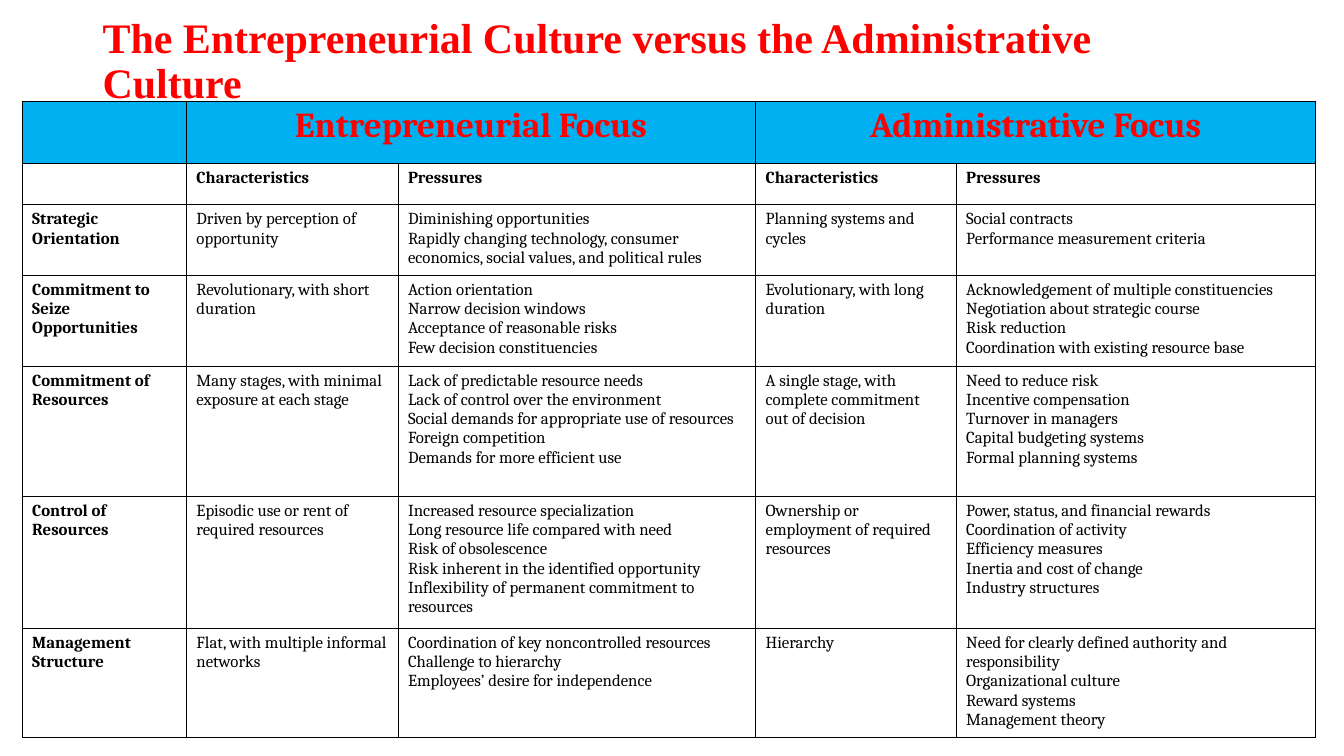
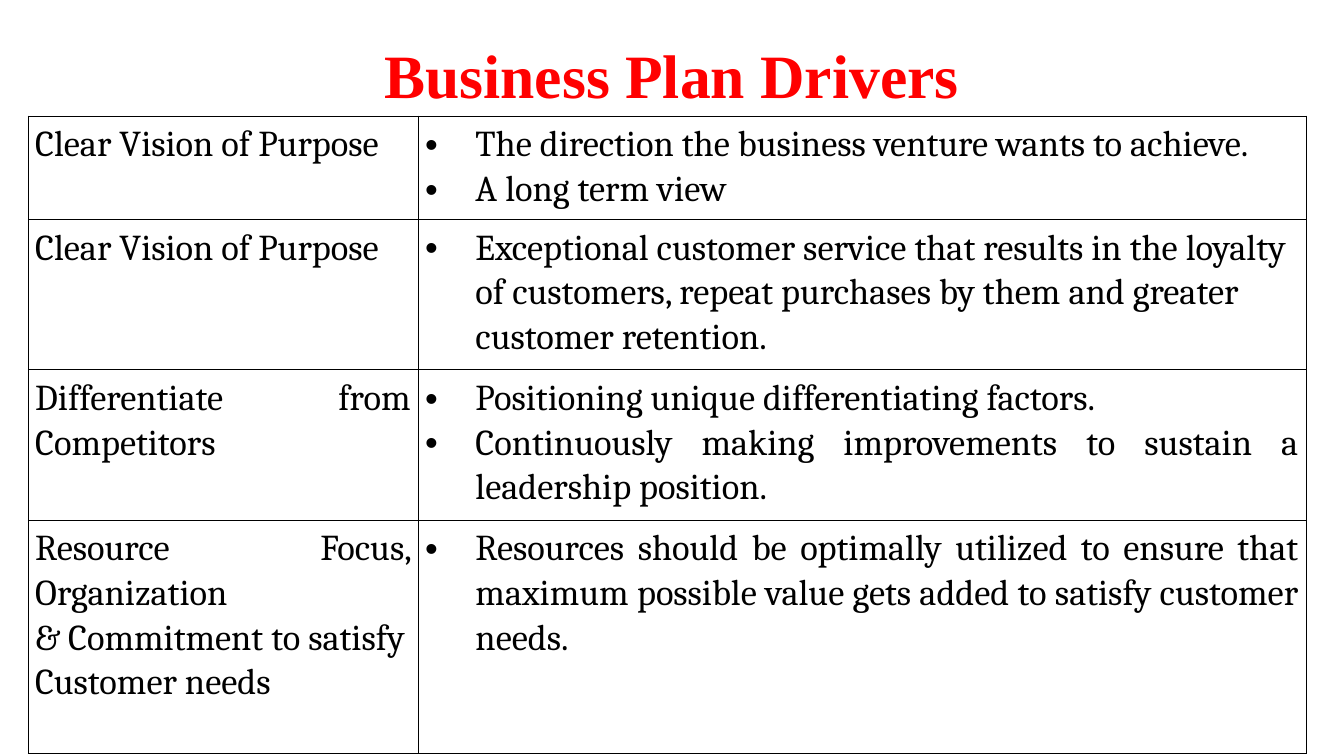
from lxml import etree
from pptx import Presentation
from pptx.dml.color import RGBColor
from pptx.enum.text import MSO_ANCHOR, PP_ALIGN
from pptx.oxml.ns import qn
from pptx.util import Inches, Pt

LEFT, CENTER, JUSTIFY = PP_ALIGN.LEFT, PP_ALIGN.CENTER, PP_ALIGN.JUSTIFY
MIDDLE = MSO_ANCHOR.MIDDLE

RED, BLACK, BLUE = "FF0000", "000000", "00B0F0"
TITLE_FONT, TABLE_FONT = "Times New Roman", "Cambria"
BORDER_WIDTH = Pt(0.45)
BULLET_INDENT = Inches(0.5)

CULTURE_COLS = [1.63, 2.1, 3.55, 1.99, 3.57]
CULTURE_HEIGHTS = [0.62, 0.41, 0.7, 0.9, 1.29, 1.31, 1.09]
FOCUS_HEADINGS = {1: "Entrepreneurial Focus", 3: "Administrative Focus"}
SUBHEADINGS = ["", "Characteristics", "Pressures", "Characteristics", "Pressures"]
CULTURE_ROWS = [
    ["Strategic Orientation",
     "Driven by perception of opportunity",
     "Diminishing opportunities\n"
     "Rapidly changing technology, consumer economics, social values, and political rules",
     "Planning systems and cycles",
     "Social contracts\nPerformance measurement criteria"],
    ["Commitment to Seize Opportunities",
     "Revolutionary, with short duration",
     "Action orientation\nNarrow decision windows\n"
     "Acceptance of reasonable risks\nFew decision constituencies",
     "Evolutionary, with long duration",
     "Acknowledgement of multiple constituencies\nNegotiation about strategic course\n"
     "Risk reduction\nCoordination with existing resource base"],
    ["Commitment of Resources",
     "Many stages, with minimal exposure at each stage",
     "Lack of predictable resource needs\nLack of control over the environment\n"
     "Social demands for appropriate use of resources\nForeign competition\n"
     "Demands for more efficient use",
     "A single stage, with complete commitment out of decision",
     "Need to reduce risk\nIncentive compensation\nTurnover in managers\n"
     "Capital budgeting systems\nFormal planning systems"],
    ["Control of Resources",
     "Episodic use or rent of required resources",
     "Increased resource specialization\nLong resource life compared with need\n"
     "Risk of obsolescence\nRisk inherent in the identified opportunity\n"
     "Inflexibility of permanent commitment to resources",
     "Ownership or employment of required resources",
     "Power, status, and financial rewards\nCoordination of activity\n"
     "Efficiency measures\nInertia and cost of change\nIndustry structures"],
    ["Management Structure",
     "Flat, with multiple informal networks",
     "Coordination of key noncontrolled resources\nChallenge to hierarchy\n"
     "Employees’ desire for independence",
     "Hierarchy",
     "Need for clearly defined authority and responsibility\nOrganizational culture\n"
     "Reward systems\nManagement theory"],
]

DRIVER_COLS = [3.87, 8.82]
DRIVER_HEIGHTS = [0.99, 1.43, 1.43, 2.32]
# driver, explanation, alignment of the explanation
DRIVERS = [
    ("Clear Vision of Purpose",
     "The direction the business venture wants to achieve.\nA long term view", JUSTIFY),
    ("Clear Vision of Purpose",
     "Exceptional customer service that results in the loyalty of customers, "
     "repeat purchases by them and greater customer retention.", LEFT),
    ("Differentiate from Competitors",
     "Positioning unique differentiating factors.\n"
     "Continuously making improvements to sustain a leadership position.", JUSTIFY),
    ("Resource Focus, Organization\n& Commitment to satisfy\nCustomer needs",
     "Resources should be optimally utilized to ensure that maximum possible value "
     "gets added to satisfy customer needs.", JUSTIFY),
]


def rgb(value):
    return RGBColor.from_string(value)


def style_runs(p, font, size, color, bold):
    for r in p.runs:
        r.font.name = font
        r.font.size = Pt(size)
        r.font.bold = bold
        r.font.color.rgb = rgb(color)


def add_title(slide, text, height, size, align=LEFT):
    box = slide.shapes.add_textbox(Inches(0.92), Inches(0.4), Inches(11.5), Inches(height))
    tf = box.text_frame
    tf.word_wrap = True
    tf.vertical_anchor = MIDDLE
    tf.text = text
    p = tf.paragraphs[0]
    p.alignment = align
    p.line_spacing = 0.9
    style_runs(p, TITLE_FONT, size, RED, True)


def add_borders(cell):
    tc_pr = cell._tc.get_or_add_tcPr()
    for side in ("a:lnL", "a:lnR", "a:lnT", "a:lnB"):
        line = etree.SubElement(tc_pr, qn(side), w=str(BORDER_WIDTH))
        fill = etree.SubElement(line, qn("a:solidFill"))
        etree.SubElement(fill, qn("a:srgbClr"), val=BLACK)


def add_grid(slide, left, top, widths, heights):
    """Add an unfilled, fully ruled table."""
    frame = slide.shapes.add_table(len(heights), len(widths), Inches(left), Inches(top),
                                   Inches(sum(widths)), Inches(sum(heights)))
    table = frame.table
    table.first_row = table.horz_banding = False
    for column, width in zip(table.columns, widths):
        column.width = Inches(width)
    for row, height in zip(table.rows, heights):
        row.height = Inches(height)
    for cell in table.iter_cells():
        add_borders(cell)
        cell.fill.background()
    return table


def add_bullet(p):
    p_pr = p._p.get_or_add_pPr()
    p_pr.set("marL", str(BULLET_INDENT))
    p_pr.set("indent", str(-BULLET_INDENT))
    color = etree.SubElement(p_pr, qn("a:buClr"))
    etree.SubElement(color, qn("a:srgbClr"), val=BLACK)
    etree.SubElement(p_pr, qn("a:buFont"), typeface="Arial")
    etree.SubElement(p_pr, qn("a:buChar"), char="•")


def fill_cell(cell, text, size, color=BLACK, bold=False, align=LEFT,
              spacing=None, bulleted=False):
    cell.text_frame.text = text
    for p in cell.text_frame.paragraphs:
        if bulleted:
            add_bullet(p)
        p.alignment = align
        p.line_spacing = spacing
        style_runs(p, TABLE_FONT, size, color, bold)


def add_culture_table(slide, left, top):
    table = add_grid(slide, left, top, CULTURE_COLS, CULTURE_HEIGHTS)
    for col in range(len(CULTURE_COLS)):
        cell = table.cell(0, col)
        cell.fill.solid()
        cell.fill.fore_color.rgb = rgb(BLUE)
    for col, heading in FOCUS_HEADINGS.items():
        table.cell(0, col).merge(table.cell(0, col + 1))
        fill_cell(table.cell(0, col), heading, 25, RED, True, CENTER)
    for row, texts in enumerate([SUBHEADINGS] + CULTURE_ROWS, start=1):
        for col, text in enumerate(texts):
            if text:
                fill_cell(table.cell(row, col), text, 12, bold=row == 1 or col == 0)


def add_drivers_table(slide, left, top):
    table = add_grid(slide, left, top, DRIVER_COLS, DRIVER_HEIGHTS)
    for cell in table.iter_cells():
        cell.margin_left = cell.margin_right = Inches(0.07)
        cell.margin_top = cell.margin_bottom = Inches(0.05)
    for row, (driver, explanation, align) in enumerate(DRIVERS):
        fill_cell(table.cell(row, 0), driver, 26, align=JUSTIFY, spacing=1.07)
        fill_cell(table.cell(row, 1), explanation, 26, align=align, spacing=1.07,
                  bulleted=True)


def main():
    prs = Presentation()
    prs.slide_width, prs.slide_height = Inches(13.34), Inches(7.5)
    blank = prs.slide_layouts[6]

    slide = prs.slides.add_slide(blank)
    add_culture_table(slide, 0.22, 1)
    add_title(slide, "The Entrepreneurial Culture versus the Administrative Culture", 0.44, 30)

    slide = prs.slides.add_slide(blank)
    add_title(slide, "Business Plan Drivers", 0.76, 44, CENTER)
    add_drivers_table(slide, 0.28, 1.15)

    prs.save("out.pptx")


if __name__ == "__main__":
    main()
